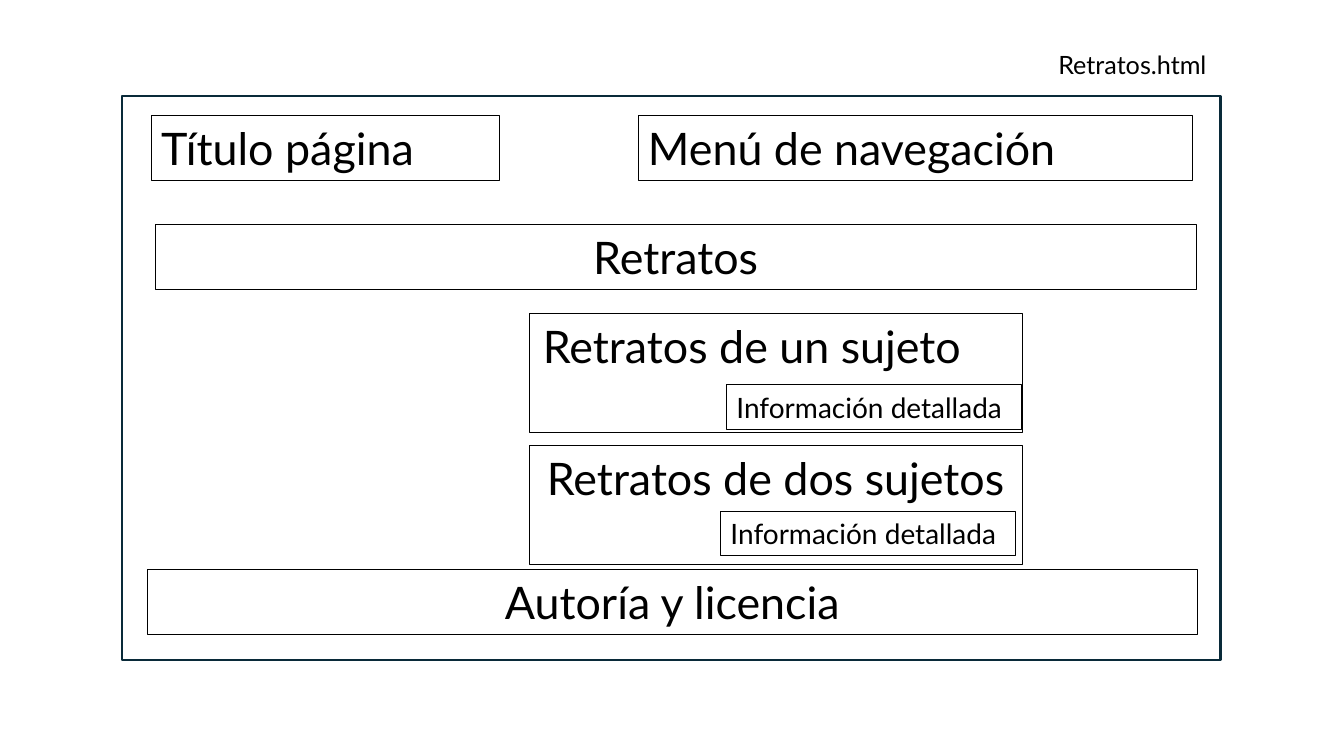
from pptx import Presentation
from pptx.dml.color import RGBColor
from pptx.enum.shapes import MSO_SHAPE
from pptx.enum.text import MSO_ANCHOR, MSO_AUTO_SIZE, PP_ALIGN
from pptx.util import Cm, Pt

RECTANGLE = MSO_SHAPE.RECTANGLE
TOP = MSO_ANCHOR.TOP
NO_AUTOFIT = MSO_AUTO_SIZE.NONE
LEFT, CENTER = PP_ALIGN.LEFT, PP_ALIGN.CENTER

BLACK = RGBColor(0x00, 0x00, 0x00)
NAVY = RGBColor(0x09, 0x2A, 0x39)
FONT = "Lato"

BAR_HEIGHT = 1.63
SECTION_LEFT, SECTION_WIDTH, SECTION_HEIGHT = 13.34, 12.42, 3.0
DETAIL_WIDTH, DETAIL_HEIGHT = 7.44, 1.12


def write_text(box, text, size=32, align=LEFT, inset=0.25):
    frame = box.text_frame
    frame.auto_size = NO_AUTOFIT
    frame.word_wrap = True
    frame.vertical_anchor = TOP
    frame.margin_left = frame.margin_right = Cm(inset)
    frame.margin_top = frame.margin_bottom = Cm(0.13)
    paragraph = frame.paragraphs[0]
    paragraph.text = text
    paragraph.alignment = align
    font = paragraph.font
    font.name = FONT
    font.size = Pt(size)
    font.color.rgb = BLACK


def outline(box, color=BLACK, weight=0.75):
    box.fill.background()
    box.line.color.rgb = color
    box.line.width = Pt(weight)


def add_outlined_box(slide, left, top, width, height, **line_format):
    box = slide.shapes.add_shape(RECTANGLE, Cm(left), Cm(top), Cm(width), Cm(height))
    box.shadow.inherit = False
    outline(box, **line_format)
    return box


def add_block(slide, text, left, top, width, height=BAR_HEIGHT, **text_format):
    write_text(add_outlined_box(slide, left, top, width, height), text, **text_format)


def add_file_name(slide, text, left, top, width, height):
    label = slide.shapes.add_textbox(Cm(left), Cm(top), Cm(width), Cm(height))
    write_text(label, text, size=18)


def place_heading(slide, text, left, top, width, height):
    heading = slide.shapes.title
    heading.left, heading.top = Cm(left), Cm(top)
    heading.width, heading.height = Cm(width), Cm(height)
    outline(heading)
    write_text(heading, text, align=CENTER)


def add_section(slide, text, top, detail_left, detail_top, **text_format):
    add_block(slide, text, SECTION_LEFT, top, SECTION_WIDTH, SECTION_HEIGHT, **text_format)
    add_block(slide, "Información detallada", detail_left, detail_top,
              DETAIL_WIDTH, DETAIL_HEIGHT, size=20)


def main():
    deck = Presentation()
    deck.slide_width, deck.slide_height = Cm(33.87), Cm(19.05)
    slide = deck.slides.add_slide(deck.slide_layouts[5])

    add_outlined_box(slide, 3.07, 2.41, 27.69, 14.22, color=NAVY, weight=1.5)
    add_file_name(slide, "Retratos.html", 26.42, 1.12, 7.44, 1.02)
    add_block(slide, "Título página", 3.81, 2.92, 8.79)
    add_block(slide, "Menú de navegación", 16.08, 2.92, 13.97)
    place_heading(slide, "Retratos", 3.91, 5.66, 26.24, BAR_HEIGHT)
    add_section(slide, "Retratos de un sujeto", 7.9, 18.31, 9.7, inset=0.34)
    add_section(slide, "Retratos de dos sujetos", 11.23, 18.16, 12.88, align=CENTER)
    add_block(slide, "Autoría y licencia", 3.71, 14.35, 26.47, align=CENTER)

    deck.save("out.pptx")


if __name__ == "__main__":
    main()
